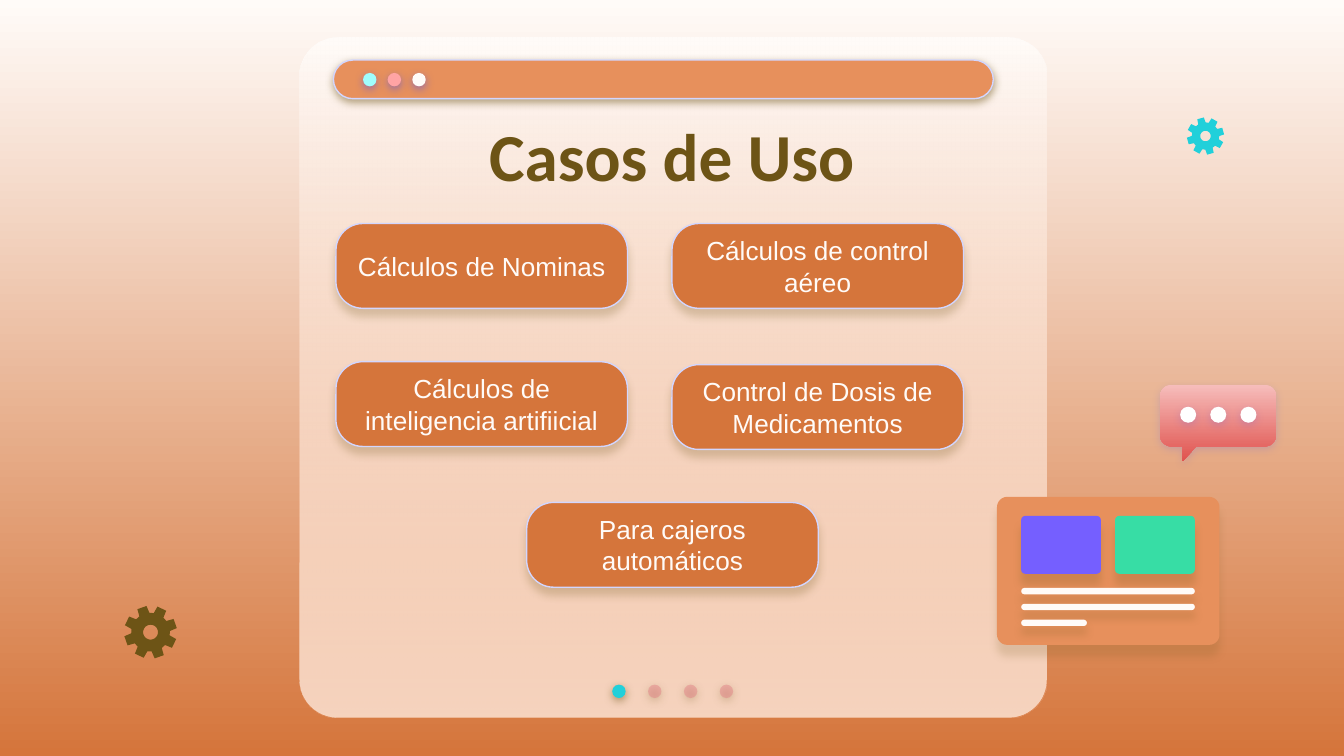
from math import cos, radians, sin

from lxml import etree
from pptx import Presentation
from pptx.dml.color import RGBColor
from pptx.enum.shapes import MSO_SHAPE
from pptx.enum.text import MSO_ANCHOR, MSO_AUTO_SIZE, PP_ALIGN
from pptx.oxml.ns import qn
from pptx.util import Pt

ROUNDED = MSO_SHAPE.ROUNDED_RECTANGLE
OVAL = MSO_SHAPE.OVAL
MIDDLE = MSO_ANCHOR.MIDDLE
NO_AUTOFIT = MSO_AUTO_SIZE.NONE
CENTER = PP_ALIGN.CENTER

COLORS = {
    "cream": "FFFBF8", "rust": "D5753B", "orange": "E7905C", "brown": "6D5416",
    "outline": "D2D6FF", "cyan": "21D0DA", "rose": "E27B83", "aqua": "A0FDFD",
    "pink": "FFA4A4", "indigo": "5352EE", "violet": "755FFF", "green": "37DDA5",
    "blush": "F6BDBB", "red": "E0534E", "white": "FFFFFF",
}

# Shadows: color, opacity %, blur, distance
WINDOW_SHADOW = ("brown", 50, 4.5, 1.5)
DOT_SHADOW = ("indigo", 50, 4.5, 1.5)
BUTTON_SHADOW = ("brown", 24, 4.5, 3.8)
CARD_SHADOW = ("brown", 17, 4.5, 6)
TILE_SHADOW = ("brown", 20, 4.5, 6)
LINE_SHADOW = ("brown", 21, 4.5, 4.5)
BUBBLE_SHADOW = ("indigo", 18, 4.5, 1.5)


def rgb(name):
    return RGBColor.from_string(COLORS[name])


def set_alpha(color_parent, percent):
    color = color_parent.find(".//" + qn("a:srgbClr"))
    etree.SubElement(color, qn("a:alpha"), val=str(percent * 1000))


def fill_gradient(fill, top, bottom):
    fill.gradient()
    fill.gradient_angle = 270
    for stop, name in zip(fill.gradient_stops, (top, bottom)):
        stop.color.rgb = rgb(name)


def add_shadow(shape, shadow):
    shape.shadow.inherit = False
    if shadow:
        name, opacity, blur, distance = shadow
        effects = shape._element.spPr.find(qn("a:effectLst"))
        outer = etree.SubElement(
            effects, qn("a:outerShdw"), blurRad=str(Pt(blur)), dist=str(Pt(distance)),
            dir="5400000", algn="bl", rotWithShape="0")
        etree.SubElement(outer, qn("a:srgbClr"), val=COLORS[name])
        set_alpha(outer, opacity)


def paint(shape, color, shadow=None, outlined=False):
    """Fill with one color, or with a (top, bottom) gradient."""
    if isinstance(color, tuple):
        fill_gradient(shape.fill, *color)
    else:
        shape.fill.solid()
        shape.fill.fore_color.rgb = rgb(color)
    if outlined:
        shape.line.color.rgb = rgb("outline")
        shape.line.width = Pt(0.75)
    else:
        shape.line.fill.background()
    add_shadow(shape, shadow)
    return shape


def add_box(slide, box, color, radius, shadow=None, outlined=False):
    shape = slide.shapes.add_shape(ROUNDED, *map(Pt, box))
    shape.adjustments[0] = radius
    return paint(shape, color, shadow, outlined)


def add_dots(slide, left, top, size, pitch, colors, shadow):
    dots = []
    for index, color in enumerate(colors):
        dot = slide.shapes.add_shape(
            OVAL, Pt(left + index * pitch), Pt(top), Pt(size), Pt(size))
        dots.append(paint(dot, color, shadow))
    return dots


def add_outline(slide, contours, color, shadow=None):
    contours = [[(Pt(x), Pt(y)) for x, y in contour] for contour in contours]
    builder = slide.shapes.build_freeform(*contours[0][0], scale=1.0)
    builder.add_line_segments(contours[0][1:], close=True)
    for contour in contours[1:]:
        builder.move_to(*contour[0])
        builder.add_line_segments(contour[1:], close=True)
    return paint(builder.convert_to_shape(), color, shadow)


def polar(center, radius, degrees):
    angle = radians(degrees)
    return center[0] + radius * cos(angle), center[1] + radius * sin(angle)


def add_window(slide, left, top, width, height):
    box = (left, top, width, height)
    add_box(slide, box, "cream", 0.056)
    glass = add_box(slide, box, ("cream", "orange"), 0.056)
    set_alpha(glass._element.spPr.findall(".//" + qn("a:gs"))[-1], 37)
    # Page dots
    pages = add_dots(slide, left + 167.5, top + 346.6, 7.2, 19.2,
                     ["cyan"] + ["rose"] * 3, WINDOW_SHADOW)
    for dot in pages[1:]:
        set_alpha(dot._element.spPr.find(qn("a:solidFill")), 44)
    # Title bar with its buttons
    add_box(slide, (left + 18.1, top + 12, 353.5, 20.7), "orange", 0.5,
            WINDOW_SHADOW, outlined=True)
    add_dots(slide, left + 34, top + 18.9, 7.2, 13.2,
             ["aqua", "pink", "cream"], DOT_SHADOW)


def add_title(slide, left, top, width, height):
    title = slide.shapes.title
    title.left, title.top, title.width, title.height = map(Pt, (left, top, width, height))
    title.text = "Casos de Uso"
    frame = title.text_frame
    frame.auto_size = NO_AUTOFIT
    frame.vertical_anchor = MIDDLE
    paragraph = frame.paragraphs[0]
    paragraph.alignment = CENTER
    font = paragraph.font
    font.name, font.size, font.bold = "Calibri", Pt(36), True
    font.color.rgb = rgb("brown")
    # Bring the title in front of the window
    title._element.getparent().append(title._element)


def add_use_cases(slide, left, top):
    use_cases = [
        ("Cálculos de Nominas", 0, 0),
        ("Cálculos de control aéreo", 180, 0),
        ("Cálculos de inteligencia artifiicial", 0, 74),
        ("Control de Dosis de Medicamentos", 180, 75.6),
        ("Para cajeros automáticos", 102.2, 149.4),
    ]
    for text, x, y in use_cases:
        button = add_box(slide, (left + x, top + y, 156.2, 45.4), "rust", 0.317,
                         BUTTON_SHADOW, outlined=True)
        frame = button.text_frame
        frame.word_wrap = True
        frame.vertical_anchor = MIDDLE
        frame.margin_left = frame.margin_right = Pt(7.2)
        frame.margin_top = frame.margin_bottom = Pt(7.2)
        paragraph = frame.paragraphs[0]
        paragraph.text = text
        paragraph.alignment = CENTER
        paragraph.font.name, paragraph.font.size = "Arial", Pt(14)
        paragraph.font.color.rgb = rgb("cream")


def add_card(slide, left, top, width, height):
    add_box(slide, (left, top, width, height), "orange", 0.07, CARD_SHADOW)
    for index, color in enumerate(("violet", "green")):
        add_box(slide, (left + 13 + index * 50.3, top + 10.2, 42.7, 31),
                color, 0.07, TILE_SHADOW)
    for index, length in enumerate((93, 93, 35.2)):
        add_box(slide, (left + 13, top + 48.8 + index * 8.5, length, 3.4),
                "cream", 0.5, LINE_SHADOW)


def add_speech_bubble(slide, left, top, width, height):
    radius = 6.2
    right, bottom = left + width, top + height
    corners = [(left + radius, top + radius, 180), (right - radius, top + radius, 270),
               (right - radius, bottom - radius, 0), (left + radius, bottom - radius, 90)]
    arcs = [[polar((x, y), radius, start + step) for step in range(0, 91, 10)]
            for x, y, start in corners]
    tail = [(left + 19.4, bottom), (left + 12.2, bottom + 8), (left + 12.2, bottom)]
    outline = arcs[0] + arcs[1] + arcs[2] + tail + arcs[3]
    add_outline(slide, [outline], ("blush", "red"), BUBBLE_SHADOW)
    add_dots(slide, left + 10.8, top + 11.7, 8.6, 16.15, ["white"] * 3, BUBBLE_SHADOW)


def add_gear(slide, center, radius, turn, color):
    rim = []
    for tooth in range(8):
        middle = turn + tooth * 45
        for share, offset in ((0.73, -16), (1, -10.5), (1, 10.5), (0.73, 16)):
            rim.append(polar(center, radius * share, middle + offset))
    hole = [polar(center, radius * 0.28, angle) for angle in range(360, 0, -10)]
    add_outline(slide, [rim, hole], color)


def main():
    presentation = Presentation()
    presentation.slide_width, presentation.slide_height = Pt(720), Pt(405)
    slide = presentation.slides.add_slide(presentation.slide_layouts[5])
    fill_gradient(slide.background.fill, "cream", "rust")
    add_window(slide, 160.5, 20.2, 400.3, 364.3)
    add_title(slide, 194.4, 54.7, 331.2, 56.2)
    add_use_cases(slide, 180, 119.8)
    add_card(slide, 534.1, 266.2, 119.2, 79.3)
    add_speech_bubble(slide, 621.4, 206.2, 62.3, 33)
    add_gear(slide, (80.7, 338.7), 14.2, -19.4, "brown")
    add_gear(slide, (645.8, 72.9), 10, -15.5, "cyan")
    presentation.save("out.pptx")


if __name__ == "__main__":
    main()
